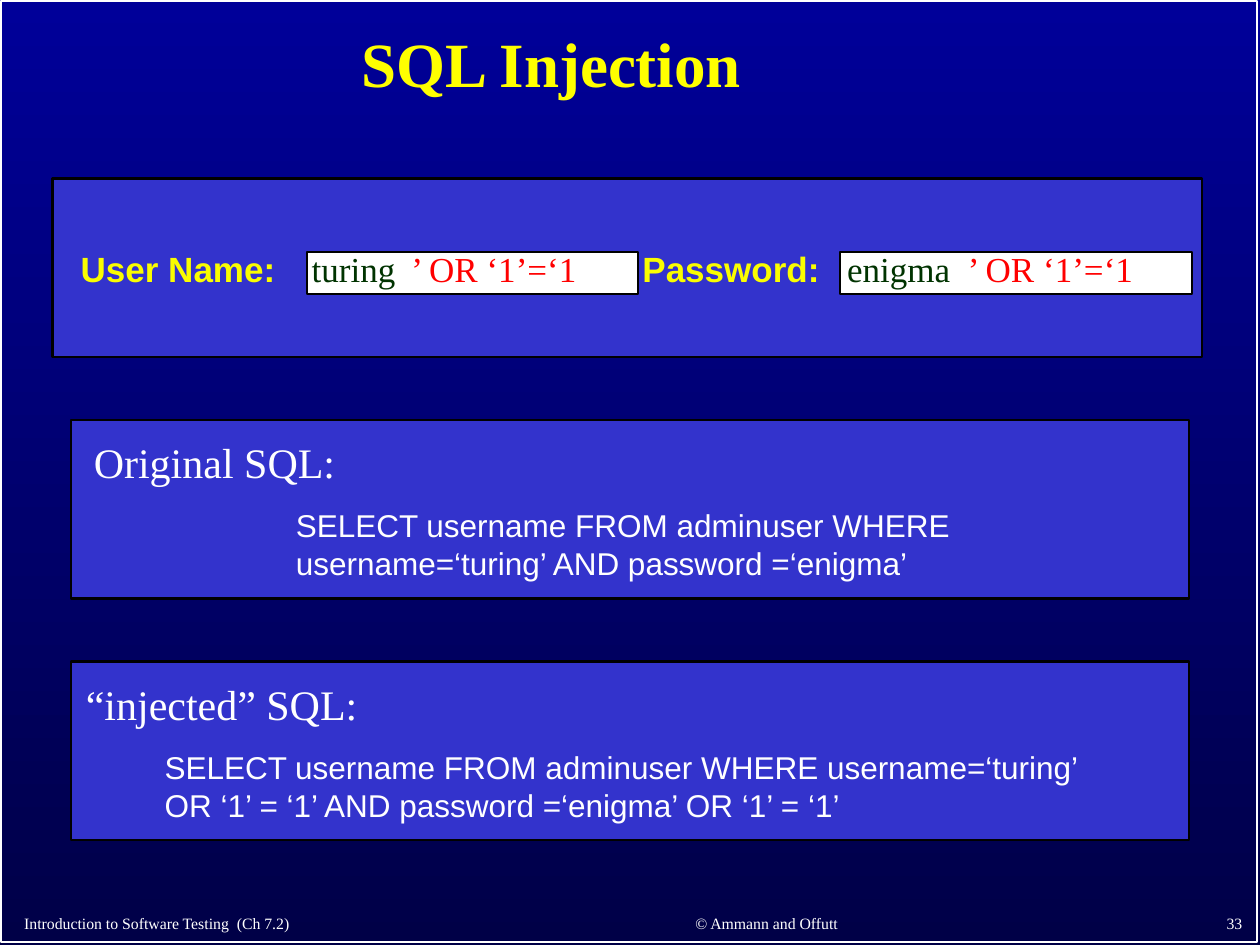
from dataclasses import dataclass

from pptx import Presentation
from pptx import util as u
from pptx.dml.color import RGBColor
from pptx.enum import shapes, text


@dataclass(frozen=True)
class Theme:
    top: str = "000099"
    base: str = "000047"
    panel: str = "3333CC"
    white: str = "FFFFFF"
    black: str = "000000"
    title: str = "FFFF00"
    label: str = "FAFD00"
    entry: str = "003300"
    attack: str = "FF0000"
    serif: str = "Times New Roman"
    sans: str = "Arial"
    huge: int = 36
    large: int = 24
    mid: int = 20
    code: int = 18
    small: int = 9


class Deck:
    cols, rows = 240, 180

    def __init__(self, theme):
        self.theme = theme
        self.prs = Presentation()
        self.prs.slide_width, self.prs.slide_height = u.Inches(10), u.Inches(7.5)
        self.slide = self.prs.slides.add_slide(self.prs.slide_layouts[6])
        self.art = self.slide.shapes

    def area(self, left, top, width, height):
        col = self.prs.slide_width / self.cols
        row = self.prs.slide_height / self.rows
        return [round(n) for n in (left * col, top * row, width * col, height * row)]

    def ground(self):
        fill = self.slide.background.fill
        fill.gradient()
        fill.gradient_angle = 270
        for stop, tone in zip(fill.gradient_stops, (self.theme.top, self.theme.base)):
            stop.color.rgb = RGBColor.from_string(tone)

    def group(self):
        self.art = self.slide.shapes.add_group_shape().shapes

    def ungroup(self):
        self.art = self.slide.shapes

    def box(self, place, line, weight, fill=None):
        box = self.art.add_shape(shapes.MSO_SHAPE.RECTANGLE, *self.area(*place))
        box.shadow.inherit = False
        if fill:
            box.fill.solid()
            box.fill.fore_color.rgb = RGBColor.from_string(fill)
        else:
            box.fill.background()
        box.line.color.rgb = RGBColor.from_string(line)
        box.line.width = u.Pt(weight)

    def label(self, place, words, size, color, face=None, bold=False,
              align="LEFT", anchor="TOP", space=None):
        frame = self.art.add_textbox(*self.area(*place)).text_frame
        frame.word_wrap = True
        frame.vertical_anchor = text.MSO_ANCHOR[anchor]
        para = frame.paragraphs[0]
        para.alignment = text.PP_ALIGN[align]
        para.line_spacing = space
        run = para.add_run()
        run.text = words
        style = {"name": face or self.theme.serif, "size": u.Pt(size), "bold": bold}
        for key, value in style.items():
            setattr(run.font, key, value)
        run.font.color.rgb = RGBColor.from_string(color)

    def panel(self, place):
        self.box(place, self.theme.black, 1.5, self.theme.panel)

    def query(self, top, head, body):
        theme = self.theme
        self.group()
        self.panel((13.5, top, 213, 34))
        left, width, words = head
        self.label((left, top + 2, width, 12), words, theme.large, theme.white)
        left, width, words = body
        self.label((left, top + 15.25, width, 16.75), words, theme.code,
                   theme.white, theme.sans)
        self.ungroup()

    def footer(self, left, width, words, align):
        self.label((left, 171.5, width, 7.4), words, self.theme.small,
                   self.theme.white, align=align, anchor="BOTTOM")


def main():
    theme = Theme()
    deck = Deck(theme)
    deck.ground()
    deck.box((0.25, 0.25, 239.25, 179.25), theme.white, 1)
    deck.label((0, 0, 210, 25.7), "SQL Injection", theme.huge, theme.title,
               bold=True, align="CENTER", anchor="MIDDLE", space=0.9)

    deck.panel((10, 34, 219, 34))
    top, tall = 46, 10.5
    for left, width, words in ((13, 48, "User Name:"), (120, 44, "Password:")):
        deck.label((left, top, width, tall), words, theme.mid, theme.label,
                   theme.sans, bold=True)
    fields = (
        ((58.5, 48, 63, 8), 57, 66, "turing"),
        ((160, 48, 67, 8), 159, 73, "enigma"),
    )
    for place, left, width, words in fields:
        deck.box(place, theme.black, 1, theme.white)
        deck.label((left, top, width, tall), words, theme.mid, theme.entry)

    deck.query(80, (15.5, 54, "Original SQL:"),
               (54, 132, "SELECT username FROM adminuser WHERE "
                "username=‘turing’ AND password =‘enigma’"))
    deck.query(126, (14, 60, "“injected” SQL:"),
               (29, 182, "SELECT username FROM adminuser WHERE username=‘turing’ "
                "OR ‘1’ = ‘1’ AND password =‘enigma’ OR ‘1’ = ‘1’"))

    deck.group()
    for left in (76, 182):
        deck.label((left, top, 46, tall), "’ OR ‘1’=‘1", theme.mid, theme.attack)
    deck.ungroup()

    deck.footer(2.25, 102, "Introduction to Software Testing  (Ch 7.2)", "LEFT")
    deck.footer(108, 76, "© Ammann and Offutt", "CENTER")
    deck.footer(189, 50, "33", "RIGHT")
    deck.prs.save("out.pptx")


if __name__ == "__main__":
    main()
